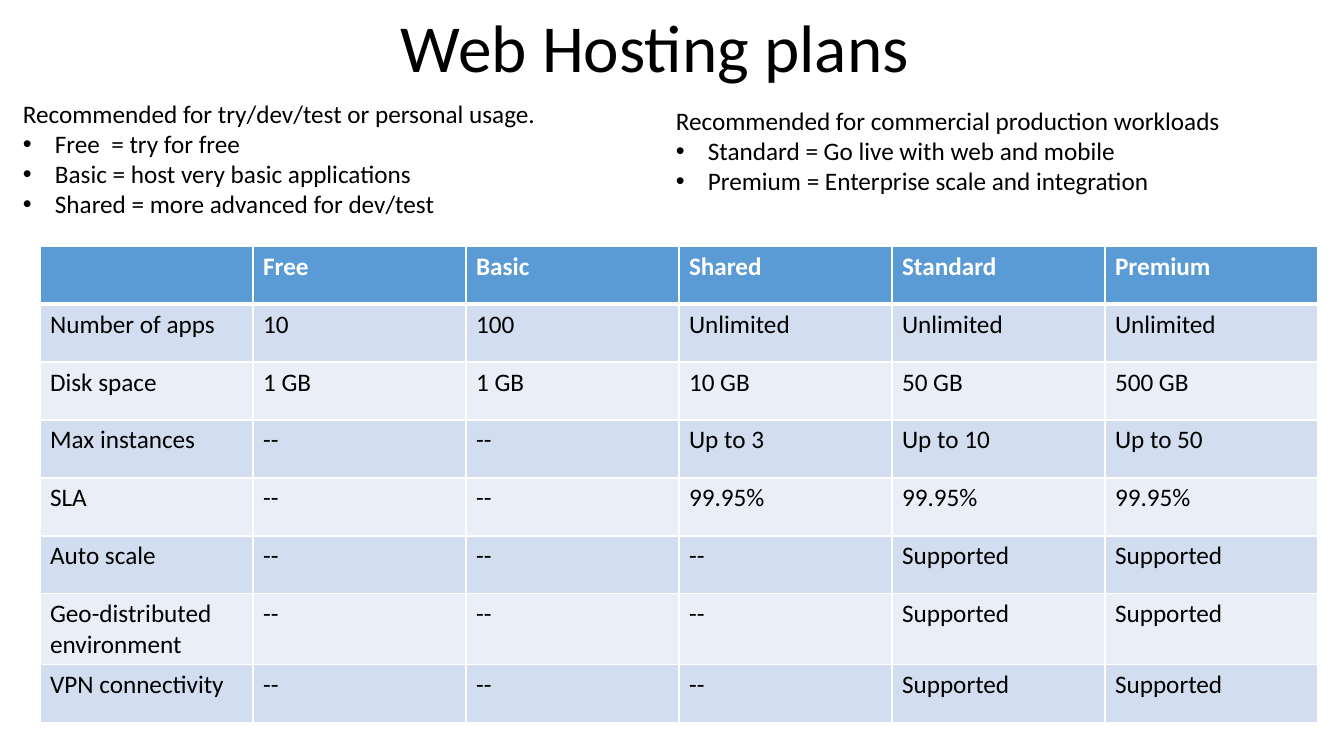
from lxml.etree import SubElement
from pptx import Presentation
from pptx.dml.color import RGBColor
from pptx.enum.text import MSO_ANCHOR, PP_ALIGN
from pptx.oxml import parse_xml
from pptx.oxml.ns import nsdecls, qn
from pptx.util import Emu, Pt

TITLE = "Web Hosting plans"
RECOMMENDATIONS = [
    ((13, 93, 630, 163), "Recommended for try/dev/test or personal usage.",
     ["Free  = try for free",
      "Basic = host very basic applications",
      "Shared = more advanced for dev/test"]),
    ((666, 100, 630, 102), "Recommended for commercial production workloads",
     ["Standard = Go live with web and mobile",
      "Premium = Enterprise scale and integration"]),
]
PLANS = [
    ("", "Free", "Basic", "Shared", "Standard", "Premium"),
    ("Number of apps", "10", "100", "Unlimited", "Unlimited", "Unlimited"),
    ("Disk space", "1 GB", "1 GB", "10 GB", "50 GB", "500 GB"),
    ("Max instances", "--", "--", "Up to 3", "Up to 10", "Up to 50"),
    ("SLA", "--", "--", "99.95%", "99.95%", "99.95%"),
    ("Auto scale", "--", "--", "--", "Supported", "Supported"),
    ("Geo-distributed environment", "--", "--", "--", "Supported", "Supported"),
    ("VPN connectivity", "--", "--", "--", "Supported", "Supported"),
]
COLORS = {"text": "000000", "white": "FFFFFF", "header": "5B9BD5",
          "odd": "D2DEEF", "even": "EAEFF7"}
FONT = "Calibri"
COLUMN_WIDTH, ROW_HEIGHT = 213, 58
BULLET_INDENT = 32


def px(length):
    return Emu(round(length * 914400 / 100.8))


def style(paragraph, size, color="text", bold=False):
    for run in paragraph.runs:
        run.font.name = FONT
        run.font.size = Pt(size)
        run.font.bold = bold
        run.font.color.rgb = RGBColor.from_string(COLORS[color])


def add_text(slide, box, lines, size):
    frame = slide.shapes.add_textbox(*map(px, box)).text_frame
    frame.word_wrap = True
    frame.text = "\n".join(lines)
    for paragraph in frame.paragraphs:
        style(paragraph, size)
    return frame


def add_bullet(paragraph):
    properties = paragraph._p.get_or_add_pPr()
    properties.set("marL", str(px(BULLET_INDENT)))
    properties.set("indent", str(-px(BULLET_INDENT)))
    SubElement(properties, qn("a:buFont")).set("typeface", "Arial")
    SubElement(properties, qn("a:buChar")).set("char", "•")


def add_borders(cell, row):
    widths = {"L": 1, "R": 1, "T": 3 if row == 1 else 1, "B": 3 if row == 0 else 1}
    for position, (side, width) in enumerate(widths.items()):
        line = parse_xml(
            f'<a:ln{side} {nsdecls("a")} w="{Pt(width)}"><a:solidFill>'
            f'<a:srgbClr val="{COLORS["white"]}"/></a:solidFill></a:ln{side}>')
        cell._tc.get_or_add_tcPr().insert(position, line)


def add_plans(slide):
    rows, columns = len(PLANS), len(PLANS[0])
    table = slide.shapes.add_table(
        rows, columns, px(40), px(246),
        px(columns * COLUMN_WIDTH), px(rows * ROW_HEIGHT)).table
    for column in table.columns:
        column.width = px(COLUMN_WIDTH)
    for row, values in enumerate(PLANS):
        table.rows[row].height = px(ROW_HEIGHT)
        header = row == 0
        fill = "header" if header else "odd" if row % 2 else "even"
        for column, value in enumerate(values):
            cell = table.cell(row, column)
            cell.text_frame.text = value
            style(cell.text_frame.paragraphs[0], 18,
                  "white" if header else "text", header)
            cell.fill.solid()
            cell.fill.fore_color.rgb = RGBColor.from_string(COLORS[fill])
            add_borders(cell, row)


def main():
    deck = Presentation()
    deck.slide_width, deck.slide_height = px(1344), px(756)
    slide = deck.slides.add_slide(deck.slide_layouts[6])

    title = add_text(slide, (-10, 32, 1330, 60), [TITLE], 48)
    title.vertical_anchor = MSO_ANCHOR.BOTTOM
    title.paragraphs[0].alignment = PP_ALIGN.CENTER
    title.paragraphs[0].line_spacing = 0.9

    for box, heading, plans in RECOMMENDATIONS:
        recommendation = add_text(slide, box, [heading, *plans], 18)
        for paragraph in recommendation.paragraphs[1:]:
            add_bullet(paragraph)

    add_plans(slide)
    deck.save("out.pptx")


if __name__ == "__main__":
    main()
